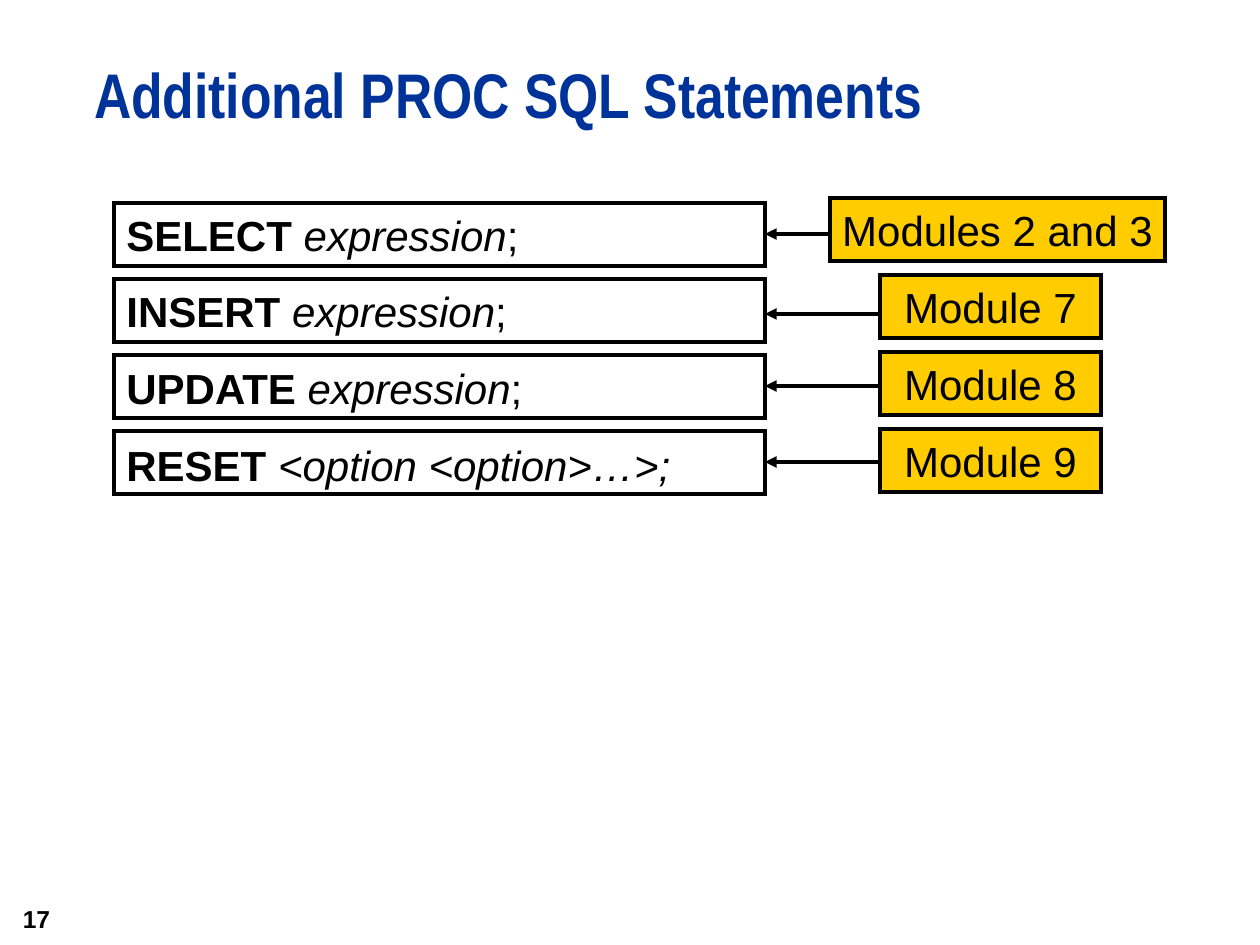
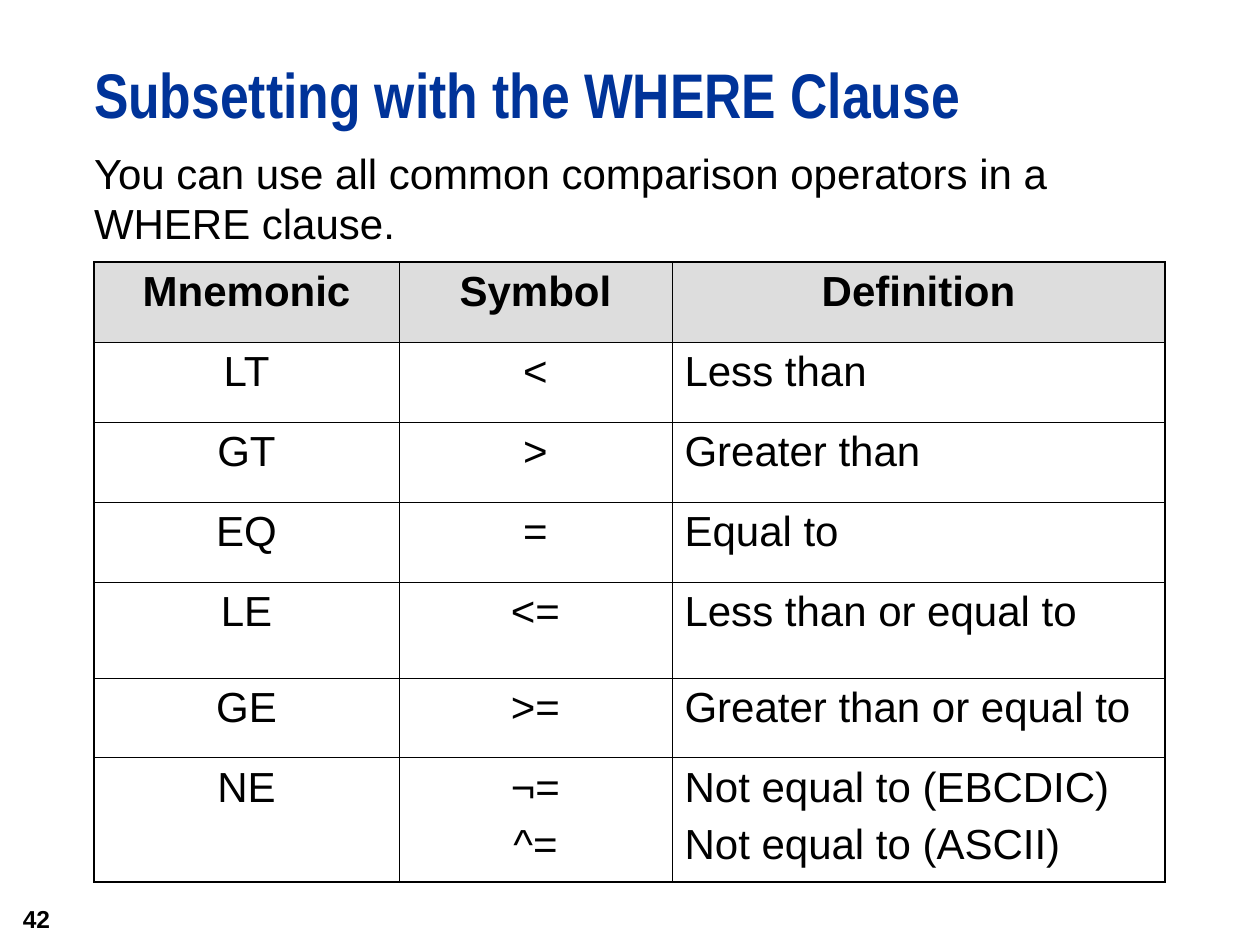
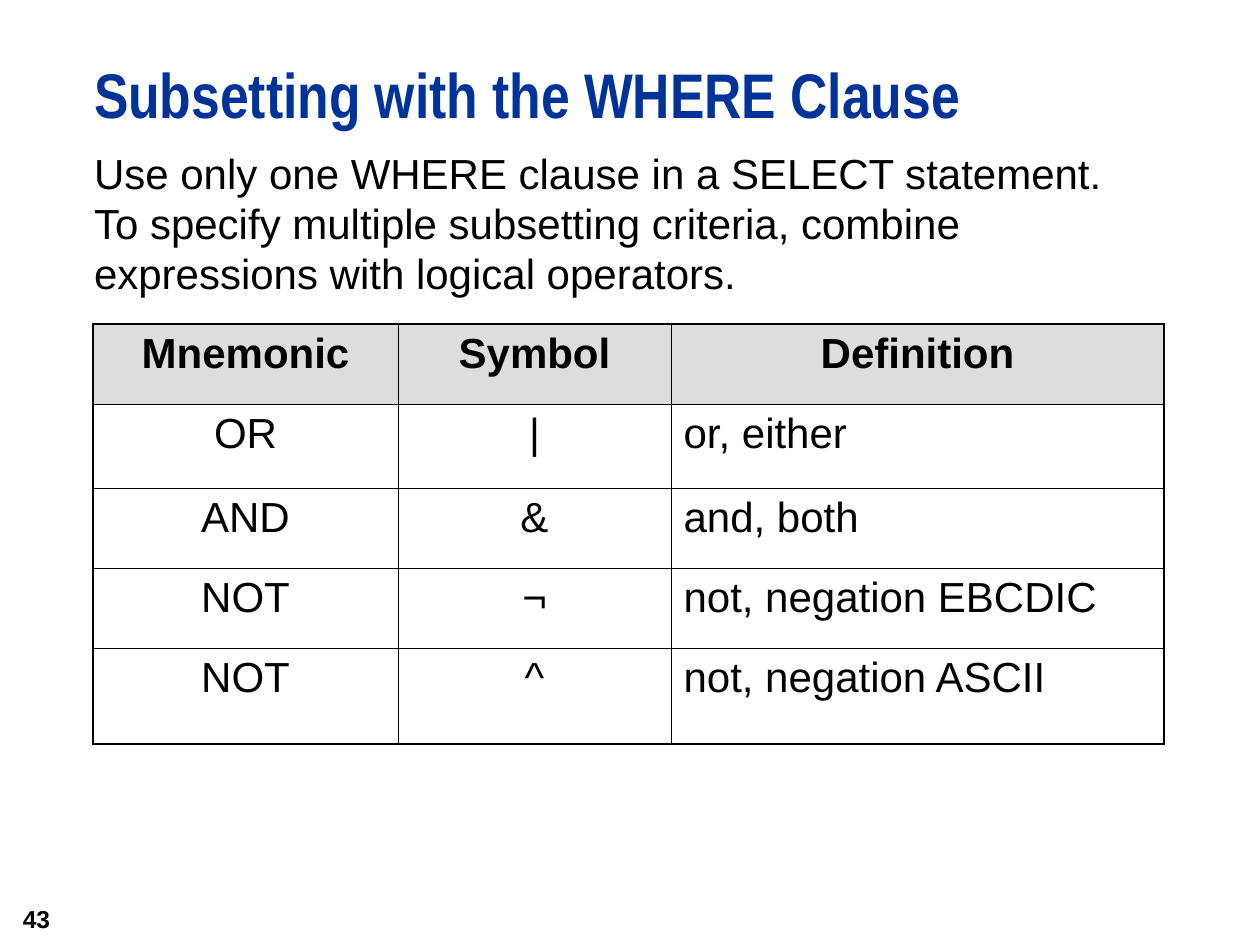
from lxml.etree import SubElement
from pptx import Presentation
from pptx.dml.color import RGBColor
from pptx.enum.shapes import MSO_CONNECTOR, MSO_SHAPE
from pptx.enum.text import MSO_ANCHOR, MSO_AUTO_SIZE, PP_ALIGN
from pptx.oxml.ns import qn
from pptx.util import Emu, Pt

PX_PER_INCH = 126
BLACK, WHITE = "000000", "FFFFFF"
TITLE_BLUE, LABEL_GOLD, HEADER_GREY = "003399", "FFCC00", "DDDDDD"
BODY_FONT, TITLE_FONT = "Arial", "Arial Narrow"
TITLE_ONLY, TITLE_AND_BODY = 5, 1


def px(length):
    return Emu(round(length * 914400 / PX_PER_INCH))


def rgb(value):
    return RGBColor.from_string(value)


class Deck:
    def __init__(self):
        self.prs = Presentation()
        self.prs.slide_width, self.prs.slide_height = px(1260), px(945)
        self.slide = None

    def start(self, title, number, layout):
        """Add a slide with the shared title and page number."""
        self.slide = self.prs.slides.add_slide(self.prs.slide_layouts[layout])
        heading = self.place(self.slide.shapes.title, 94, 63, 1166, 94)
        paragraph = heading.paragraphs[0]
        paragraph.alignment = PP_ALIGN.LEFT
        paragraph.line_spacing = Pt(39)
        self.run(paragraph, title, size=36, bold=True, color=TITLE_BLUE, font=TITLE_FONT)

        footer = self.slide.shapes.add_textbox(px(0), px(892), px(73), px(53)).text_frame
        footer.word_wrap = True
        footer.vertical_anchor = MSO_ANCHOR.MIDDLE
        footer.paragraphs[0].alignment = PP_ALIGN.CENTER
        self.run(footer.paragraphs[0], str(number), size=14, bold=True)

    def place(self, placeholder, left, top, width, height):
        """Move a placeholder and clear its insets."""
        placeholder.left, placeholder.top = px(left), px(top)
        placeholder.width, placeholder.height = px(width), px(height)
        frame = placeholder.text_frame
        frame.margin_left = frame.margin_top = 0
        frame.margin_right = frame.margin_bottom = 0
        frame.vertical_anchor = MSO_ANCHOR.TOP
        frame.auto_size = MSO_AUTO_SIZE.NONE
        frame.word_wrap = True
        return frame

    def run(self, paragraph, text, size=24, bold=False, italic=False,
            color=BLACK, font=BODY_FONT):
        run = paragraph.add_run()
        run.text = text
        run.font.size, run.font.name = Pt(size), font
        run.font.bold, run.font.italic = bold, italic
        run.font.color.rgb = rgb(color)

    def body(self, lines, height):
        """Fill the body placeholder with one unbulleted paragraph."""
        frame = self.place(self.slide.placeholders[1], 94, 147, 1081, height)
        paragraph = frame.paragraphs[0]
        properties = paragraph._p.get_or_add_pPr()
        properties.set("marL", "0")
        properties.set("indent", "0")
        SubElement(properties, qn("a:buNone"))
        paragraph.space_before = Pt(0)
        for index, line in enumerate(lines):
            if index:
                paragraph.add_line_break()
            self.run(paragraph, line)

    def box(self, left, top, width, height, fill, text=""):
        shape = self.slide.shapes.add_shape(
            MSO_SHAPE.RECTANGLE, px(left), px(top), px(width), px(height))
        shape.shadow.inherit = False
        shape.fill.solid()
        shape.fill.fore_color.rgb = rgb(fill)
        shape.line.color.rgb = rgb(BLACK)
        shape.line.width = Pt(2.25)
        SubElement(shape.line._get_or_add_ln(), qn("a:miter"), lim="800000")
        if text:
            frame = shape.text_frame
            frame.word_wrap = False
            frame.vertical_anchor = MSO_ANCHOR.MIDDLE
            frame.paragraphs[0].alignment = PP_ALIGN.CENTER
            self.run(frame.paragraphs[0], text)

    def arrow(self, start, end, y):
        connector = self.slide.shapes.add_connector(
            MSO_CONNECTOR.STRAIGHT, px(start), px(y), px(end), px(y))
        connector.line.color.rgb = rgb(BLACK)
        connector.line.width = Pt(2.25)
        SubElement(connector.line._get_or_add_ln(), qn("a:tailEnd"), type="triangle")
        SubElement(connector._element.spPr, qn("a:effectLst"))

    def statements(self, left, top, width, height, lines):
        """Write one paragraph per statement: bold keyword, italic argument."""
        frame = self.slide.shapes.add_textbox(
            px(left), px(top), px(width), px(height)).text_frame
        frame.word_wrap = True
        for index, (keyword, argument, ending) in enumerate(lines):
            paragraph = frame.add_paragraph() if index else frame.paragraphs[0]
            paragraph.space_before = Pt(15 if index else 0)
            self.run(paragraph, keyword + " ", bold=True)
            self.run(paragraph, argument, italic=True)
            if ending:
                self.run(paragraph, ending)

    def border(self, cell, side, width):
        line = SubElement(cell._tc.get_or_add_tcPr(), qn(f"a:ln{side}"), w=str(Pt(width)))
        fill = SubElement(line, qn("a:solidFill"))
        SubElement(fill, qn("a:srgbClr"), val=BLACK)

    def operators(self, left, top, heights, rows):
        """Draw an operator table with a grey header and a heavier frame."""
        rows = [("Mnemonic", "Symbol", "Definition")] + rows
        widths = (305, 273, 493)
        table = self.slide.shapes.add_table(
            len(rows), len(widths), px(left), px(top),
            px(sum(widths)), px(sum(heights))).table
        table.first_row = table.horz_banding = False
        for column, width in zip(table.columns, widths):
            column.width = px(width)
        for row, height in zip(table.rows, heights):
            row.height = px(height)

        last_row, last_column = len(rows) - 1, len(widths) - 1
        for r, row in enumerate(rows):
            for c, text in enumerate(row):
                cell = table.cell(r, c)
                cell.margin_left = cell.margin_right = Pt(7.2)
                cell.margin_top = cell.margin_bottom = Pt(3.6)
                outer = {"L": c == 0, "R": c == last_column,
                         "T": r == 0, "B": r == last_row}
                for side, is_outer in outer.items():
                    self.border(cell, side, 1.08 if is_outer else 0.45)
                cell.fill.solid()
                cell.fill.fore_color.rgb = rgb(WHITE if r else HEADER_GREY)
                centred = r == 0 or c < last_column
                frame = cell.text_frame
                for index, line in enumerate(text.split("\n")):
                    paragraph = frame.add_paragraph() if index else frame.paragraphs[0]
                    paragraph.alignment = PP_ALIGN.CENTER if centred else PP_ALIGN.LEFT
                    paragraph.space_before = Pt(6 if index else 0)
                    self.run(paragraph, line, bold=r == 0)


def statements_slide(deck):
    deck.start("Additional PROC SQL Statements", 17, TITLE_ONLY)
    left, top, width, height, step = 114, 203, 651, 63, 76

    # Frames behind the statements
    for index in range(4):
        deck.box(left, top + index * step, width, height, WHITE)
    deck.statements(left, top, 987, 294, [
        ("SELECT", "expression", ";"),
        ("INSERT", "expression", ";"),
        ("UPDATE", "expression", ";"),
        ("RESET", "<option <option>…>;", ""),
    ])

    # Module labels pointing at the statements
    modules = [
        ("Modules 2 and 3", 830, 335, 234),
        ("Module 7", 880, 221, 314),
        ("Module 8", 880, 221, 386),
        ("Module 9", 880, 221, 462),
    ]
    for index, (module, module_left, module_width, arrow_y) in enumerate(modules):
        deck.arrow(module_left, left + width, arrow_y)
        deck.box(module_left, 198 + index * 77, module_width, height, LABEL_GOLD, module)


def comparison_slide(deck):
    deck.start("Subsetting with the WHERE Clause", 42, TITLE_AND_BODY)
    deck.body(["You can use all common comparison operators in a WHERE clause."], 588)
    deck.operators(94, 262, (80, 80, 80, 80, 96, 80, 124), [
        ("LT", "<", "Less than"),
        ("GT", ">", "Greater than"),
        ("EQ", "=", "Equal to"),
        ("LE", "<=", "Less than or equal to"),
        ("GE", ">=", "Greater than or equal to"),
        ("NE", "¬=\n^=", "Not equal to (EBCDIC)\nNot equal to (ASCII)"),
    ])


def logical_slide(deck):
    deck.start("Subsetting with the WHERE Clause", 43, TITLE_AND_BODY)
    deck.body([
        "Use only one WHERE clause in a SELECT statement.",
        "To specify multiple subsetting criteria, combine expressions with logical operators.",
    ], 242)
    deck.operators(93, 324, (80, 84, 80, 80, 96), [
        ("OR", "|", "or, either"),
        ("AND", "&", "and, both"),
        ("NOT", "¬", "not, negation EBCDIC"),
        ("NOT", "^", "not, negation ASCII"),
    ])


def main():
    deck = Deck()
    statements_slide(deck)
    comparison_slide(deck)
    logical_slide(deck)
    deck.prs.save("out.pptx")


if __name__ == "__main__":
    main()
